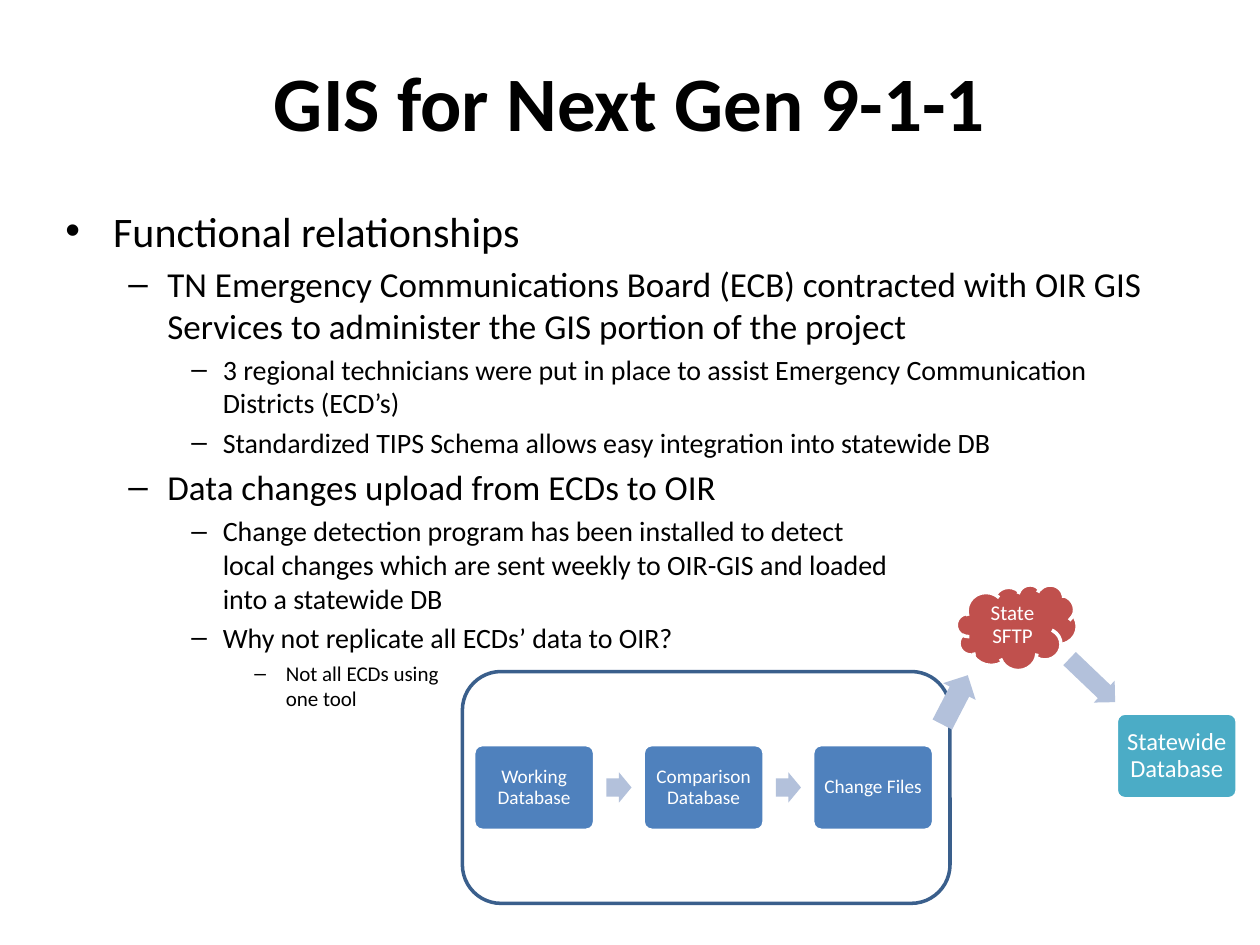
import pptx
import pptx.util
import pptx.dml.color
import pptx.enum.shapes
import pptx.enum.text
import pptx.oxml.ns
import lxml.etree

SHAPE = pptx.enum.shapes.MSO_SHAPE
ALIGN = pptx.enum.text.PP_ALIGN
ANCHOR = pptx.enum.text.MSO_ANCHOR
Inches, Pt = pptx.util.Inches, pptx.util.Pt

# Content
TITLE = "GIS for Next Gen 9-1-1"
OUTLINE = [  # level, lines of text
    (0, ["Functional relationships"]),
    (1, ["TN Emergency Communications Board (ECB) contracted with OIR GIS "
         "Services to administer the GIS portion of the project"]),
    (2, ["3 regional technicians were put in place to assist Emergency "
         "Communication Districts (ECD’s)"]),
    (2, ["Standardized TIPS Schema allows easy integration into statewide DB"]),
    (1, ["Data changes upload from ECDs to OIR"]),
    (2, ["Change detection program has been installed to detect ",
         "local changes which are sent weekly to OIR-GIS and loaded",
         "into a statewide DB"]),
    (2, ["Why not replicate all ECDs’ data to OIR?"]),
    (3, ["Not all ECDs using", "one tool"]),
]
LOCAL_STEPS = ["Working Database", "Comparison Database", "Change Files"]
SFTP = "State SFTP"
STATEWIDE = "Statewide Database"

# Theme
THEME = {
    "font": "Calibri", "text": "000000", "paper": "FFFFFF",
    "local": "4F81BD", "sftp": "C0504D", "statewide": "4BACC6",
    "arrow": "B3C1DB", "frame": "3A5F8C",
    "title_size": 44, "local_size": 11, "sftp_size": 12, "statewide_size": 14,
    "line": 2,
}
LEVELS = [  # size, text indent, hanging indent, bullet
    (24, 0.38, 0.38, "•"), (20, 0.81, 0.31, "–"),
    (16, 1.25, 0.25, "–"), (12, 1.75, 0.25, "–"),
]

# Layout, in inches
SLIDE_W, SLIDE_H = 10, 7.5
NODE_W, NODE_H = 0.96, 0.68
STEP_LEFT, STEP_TOP, STEP_PITCH = 3.76, 5.91, 1.345
STEP_ARROW_W, STEP_ARROW_H = 0.2, 0.24
NODE_INSET = 0.06


def rgb(name):
    return pptx.dml.color.RGBColor.from_string(THEME[name])


def add_run(paragraph, text, size, color, bold=False):
    run = paragraph.add_run()
    run.text = text
    run.font.name, run.font.size, run.font.bold = THEME["font"], Pt(size), bold
    run.font.color.rgb = rgb(color)


def add_box(slide, left, top, width, height):
    box = slide.shapes.add_textbox(*map(Inches, (left, top, width, height)))
    box.text_frame.word_wrap = True
    return box.text_frame


def set_bullet(paragraph, indent, hanging, mark):
    props = paragraph._p.get_or_add_pPr()
    props.set("marL", str(Inches(indent)))
    props.set("indent", str(-Inches(hanging)))
    qn = pptx.oxml.ns.qn
    before = lxml.etree.SubElement(props, qn("a:spcBef"))
    lxml.etree.SubElement(before, qn("a:spcPct"), val="20000")
    lxml.etree.SubElement(props, qn("a:buFont"), typeface="Arial")
    lxml.etree.SubElement(props, qn("a:buChar"), char=mark)


def add_shape(slide, kind, box, fill, line=None, adjust=(), turn=0):
    shape = slide.shapes.add_shape(kind, *map(Inches, box))
    shape.shadow.inherit = False
    shape.rotation = turn
    for i, value in enumerate(adjust):
        shape.adjustments[i] = value
    shape.fill.solid()
    shape.fill.fore_color.rgb = rgb(fill)
    if line:
        shape.line.color.rgb = rgb(line)
        shape.line.width = Pt(THEME["line"])
    else:
        shape.line.fill.background()
    return shape


def add_node(slide, kind, left, top, label, role, adjust=()):
    node = add_shape(slide, kind, (left, top, NODE_W, NODE_H), role, "paper", adjust)
    frame = node.text_frame
    frame.word_wrap = True
    frame.vertical_anchor = ANCHOR.MIDDLE
    frame.margin_left = frame.margin_right = Inches(NODE_INSET)
    frame.margin_top = frame.margin_bottom = Inches(NODE_INSET)
    paragraph = frame.paragraphs[0]
    paragraph.alignment = ALIGN.CENTER
    paragraph.line_spacing = 0.9
    add_run(paragraph, label, THEME[role + "_size"], "paper")


def add_arrow(slide, box, turn=0):
    add_shape(slide, SHAPE.RIGHT_ARROW, box, "arrow", adjust=(0.6, 0.5), turn=turn)


def add_title(slide):
    frame = add_box(slide, 0.5, 0.17, SLIDE_W - 1, 1.25)
    frame.vertical_anchor = ANCHOR.MIDDLE
    frame.paragraphs[0].alignment = ALIGN.CENTER
    add_run(frame.paragraphs[0], TITLE, THEME["title_size"], "text", bold=True)


def add_outline(slide):
    frame = add_box(slide, 0.42, 1.58, 8.92, 4.67)
    for i, (level, lines) in enumerate(OUTLINE):
        paragraph = frame.add_paragraph() if i else frame.paragraphs[0]
        paragraph.level = level
        size, indent, hanging, mark = LEVELS[level]
        set_bullet(paragraph, indent, hanging, mark)
        for j, line in enumerate(lines):
            if j:
                paragraph.add_line_break()
            add_run(paragraph, line, size, "text")


def add_flow(slide):
    # Local steps inside their frame
    add_shape(slide, SHAPE.ROUNDED_RECTANGLE, (3.67, 5.33, 3.87, 1.84), "paper", "frame")
    arrow_top = STEP_TOP + (NODE_H - STEP_ARROW_H) / 2
    for i, step in enumerate(LOCAL_STEPS):
        left = STEP_LEFT + i * STEP_PITCH
        add_node(slide, SHAPE.ROUNDED_RECTANGLE, left, STEP_TOP, step, "local", (0.1,))
        if i < len(LOCAL_STEPS) - 1:
            gap = STEP_PITCH - NODE_W
            arrow_left = left + NODE_W + (gap - STEP_ARROW_W) / 2
            add_arrow(slide, (arrow_left, arrow_top, STEP_ARROW_W, STEP_ARROW_H))

    # Upload to the state, then into the statewide database
    add_arrow(slide, (7.36, 5.41, 0.44, 0.29), turn=297.3)
    add_node(slide, SHAPE.CLOUD, 7.59, 4.64, SFTP, "sftp")
    add_arrow(slide, (8.42, 5.28, 0.5, 0.24), turn=43.7)
    add_node(slide, SHAPE.ROUNDED_RECTANGLE, 8.86, 5.66, STATEWIDE, "statewide", (0.1,))


def main():
    deck = pptx.Presentation()
    deck.slide_width, deck.slide_height = Inches(SLIDE_W), Inches(SLIDE_H)
    slide = deck.slides.add_slide(deck.slide_layouts[6])
    add_title(slide)
    add_outline(slide)
    add_flow(slide)
    deck.save("out.pptx")


if __name__ == "__main__":
    main()
